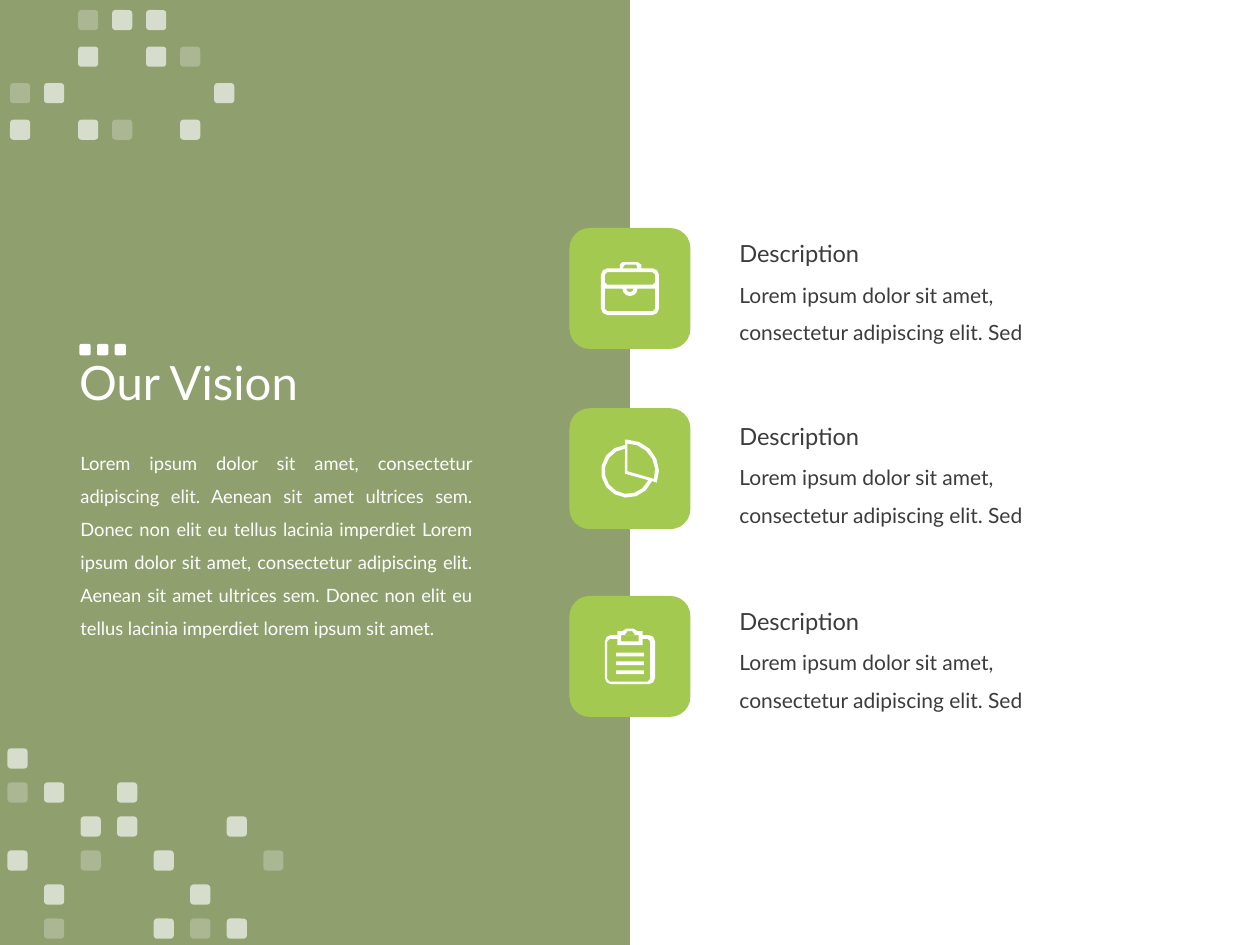
"""Build the "Our Vision" slide with a green panel and three described icons."""
import math

from lxml import etree
from pptx import Presentation
from pptx.dml.color import RGBColor
from pptx.enum import shapes, text
from pptx.oxml import ns
from pptx.util import Inches, Pt

OLIVE = RGBColor(0x54, 0x6C, 0x21)
LIME = RGBColor(0xA3, 0xC9, 0x51)
WHITE = RGBColor(0xFF, 0xFF, 0xFF)
CHARCOAL = RGBColor(0x3C, 0x3C, 0x3C)
FONT = "Lato"
RECTANGLE = shapes.MSO_SHAPE.RECTANGLE
ROUNDED = shapes.MSO_SHAPE.ROUNDED_RECTANGLE


def arc(x, y, radius, start, end, steps):
    angles = [math.radians(start + (end - start) * i / steps) for i in range(steps + 1)]
    return [(x + radius * math.cos(a), y + radius * math.sin(a)) for a in angles]


def rounded_box(left, top, right, bottom, radius, steps):
    return (
        arc(left + radius, top + radius, radius, 180, 270, steps)
        + arc(right - radius, top + radius, radius, 270, 360, steps)
        + arc(right - radius, bottom - radius, radius, 0, 90, steps)
        + arc(left + radius, bottom - radius, radius, 90, 180, steps)
    )


presentation = Presentation()
presentation.slide_width = Inches(10)
presentation.slide_height = Inches(7.5)
slide = presentation.slides.add_slide(presentation.slide_layouts[6])

blocks = [(RECTANGLE, 0, 0, 5, 7.5, OLIVE, 65)]
blocks += [(ROUNDED, 4.52, top, 0.96, 0.96, LIME, 100) for top in (1.81, 3.24, 4.73)]
blocks += [(ROUNDED, 0.63 + 0.14 * i, 2.73, 0.09, 0.09, WHITE, 100) for i in range(3)]

TOP_MOSAIC = ["--fss", "--s-sf", "fs----s", "s-sf-s"]
BOTTOM_MOSAIC = ["s", "fs-s", "--ss--s", "s-f-s--f", "-s---s", "-f--sfs"]
OPACITY = {"s": 65, "f": 25}
for mosaic, left, top, column_step, row_step in [
    (TOP_MOSAIC, 0.08, 0.08, 0.27, 0.29),
    (BOTTOM_MOSAIC, 0.06, 5.94, 0.29, 0.27),
]:
    for row, line in enumerate(mosaic):
        for column, mark in enumerate(line):
            if mark in OPACITY:
                x, y = left + column * column_step, top + row * row_step
                blocks.append((ROUNDED, x, y, 0.16, 0.16, WHITE, OPACITY[mark]))

for preset, left, top, width, height, color, opacity in blocks:
    shape = slide.shapes.add_shape(
        preset, Inches(left), Inches(top), Inches(width), Inches(height)
    )
    shape.shadow.inherit = False
    shape.line.fill.background()
    shape.fill.solid()
    shape.fill.fore_color.rgb = color
    if opacity < 100:
        fill_color = shape.fill._xPr.find(ns.qn("a:solidFill"))[0]
        etree.SubElement(fill_color, ns.qn("a:alpha"), val=str(opacity * 1000))

VISION = (
    "Lorem ipsum dolor sit amet, consectetur adipiscing elit. Aenean sit amet ultrices "
    "sem. Donec non elit eu tellus lacinia imperdiet Lorem ipsum dolor sit amet, "
    "consectetur adipiscing elit. Aenean sit amet ultrices sem. Donec non elit eu tellus "
    "lacinia imperdiet lorem ipsum sit amet."
)
DETAIL = "Lorem ipsum dolor sit amet, consectetur adipiscing elit. Sed"
LEFT, JUSTIFY = text.PP_ALIGN.LEFT, text.PP_ALIGN.JUSTIFY
TOP, MIDDLE = text.MSO_ANCHOR.TOP, text.MSO_ANCHOR.MIDDLE

labels = [
    ("Our Vision", 0.53, 2.22, 8.62, 1.67, 27, WHITE, 0.9, LEFT, MIDDLE),
    (VISION, 0.54, 3.45, 3.31, 1.66, 10.5, WHITE, 1.5, JUSTIFY, TOP),
]
for top in (1.85, 3.3, 4.77):
    labels += [
        (DETAIL, 5.77, top + 0.24, 2.98, 0.67, 12, CHARCOAL, 1.5, LEFT, TOP),
        ("Description", 5.77, top, 1.76, 0.33, 13.5, CHARCOAL, 1, LEFT, TOP),
    ]

for wording, left, top, width, height, size, color, spacing, align, anchor in labels:
    box = slide.shapes.add_textbox(
        Inches(left), Inches(top), Inches(width), Inches(height)
    )
    text_frame = box.text_frame
    text_frame.word_wrap = True
    text_frame.vertical_anchor = anchor
    if anchor == TOP:
        text_frame.auto_size = text.MSO_AUTO_SIZE.SHAPE_TO_FIT_TEXT
    text_frame.text = wording
    paragraph = text_frame.paragraphs[0]
    paragraph.alignment = align
    paragraph.line_spacing = spacing
    font = paragraph.runs[0].font
    font.name = FONT
    font.size = Pt(size)
    font.color.rgb = color

briefcase = [
    rounded_box(4.77, 2.13, 5.23, 2.5, 0.05, 2),
    [(4.92, 2.13), (4.92, 2.1), (4.94, 2.08), (5.06, 2.08), (5.09, 2.1), (5.09, 2.13),
     (5.06, 2.13), (5.05, 2.1), (4.96, 2.1), (4.94, 2.13)],
    rounded_box(4.8, 2.16, 5.2, 2.26, 0.02, 1),
    [(4.8, 2.29)] + arc(5, 2.29, 0.06, 180, 0, 6)
    + [(5.2, 2.29), (5.2, 2.45), (5.18, 2.47), (4.82, 2.47), (4.8, 2.45)],
    arc(5, 2.29, 0.03, 180, 0, 4),
]
pie = [
    [(4.96, 3.49)] + arc(4.98, 3.74, 0.25, -90, 21, 5)
    + arc(4.98, 3.74, 0.21, 22, 265, 10),
    [(4.96, 3.76), (5.14, 3.81)] + arc(4.98, 3.74, 0.18, 25, 264, 10),
    [(4.98, 3.74)] + arc(4.98, 3.74, 0.22, -90, 16, 5),
]
clipboard = [
    rounded_box(4.8, 5.04, 5.2, 5.43, 0.05, 2),
    [(4.9, 5.04), (4.9, 5.01), (4.94, 5.01), (4.97, 4.99), (5.03, 4.99), (5.06, 5.01),
     (5.1, 5.01), (5.1, 5.04), (5.04, 5.04), (5.02, 5.01), (4.98, 5.01), (4.96, 5.04)],
    [(4.93, 5.04), (5.07, 5.04), (5.07, 5.09), (4.93, 5.09)],
    [(4.9, 5.07), (4.9, 5.12), (5.1, 5.12), (5.1, 5.07), (5.14, 5.07), (5.16, 5.09),
     (5.16, 5.39), (5.14, 5.41), (4.84, 5.41), (4.82, 5.39), (4.82, 5.09), (4.84, 5.07)],
]
clipboard += [
    [(4.89, y), (5.11, y), (5.11, y + 0.03), (4.89, y + 0.03)] for y in (5.18, 5.25, 5.32)
]

for icon in (briefcase, pie, clipboard):
    builder = slide.shapes.build_freeform(
        round(icon[0][0][0] * 1000), round(icon[0][0][1] * 1000), scale=Inches(1) / 1000
    )
    for index, outline in enumerate(icon):
        points = [(round(x * 1000), round(y * 1000)) for x, y in outline]
        if index:
            builder.move_to(*points[0])
        builder.add_line_segments(points[1:], close=True)
    shape = builder.convert_to_shape()
    shape.shadow.inherit = False
    shape.line.fill.background()
    shape.fill.solid()
    shape.fill.fore_color.rgb = WHITE

presentation.save("out.pptx")
